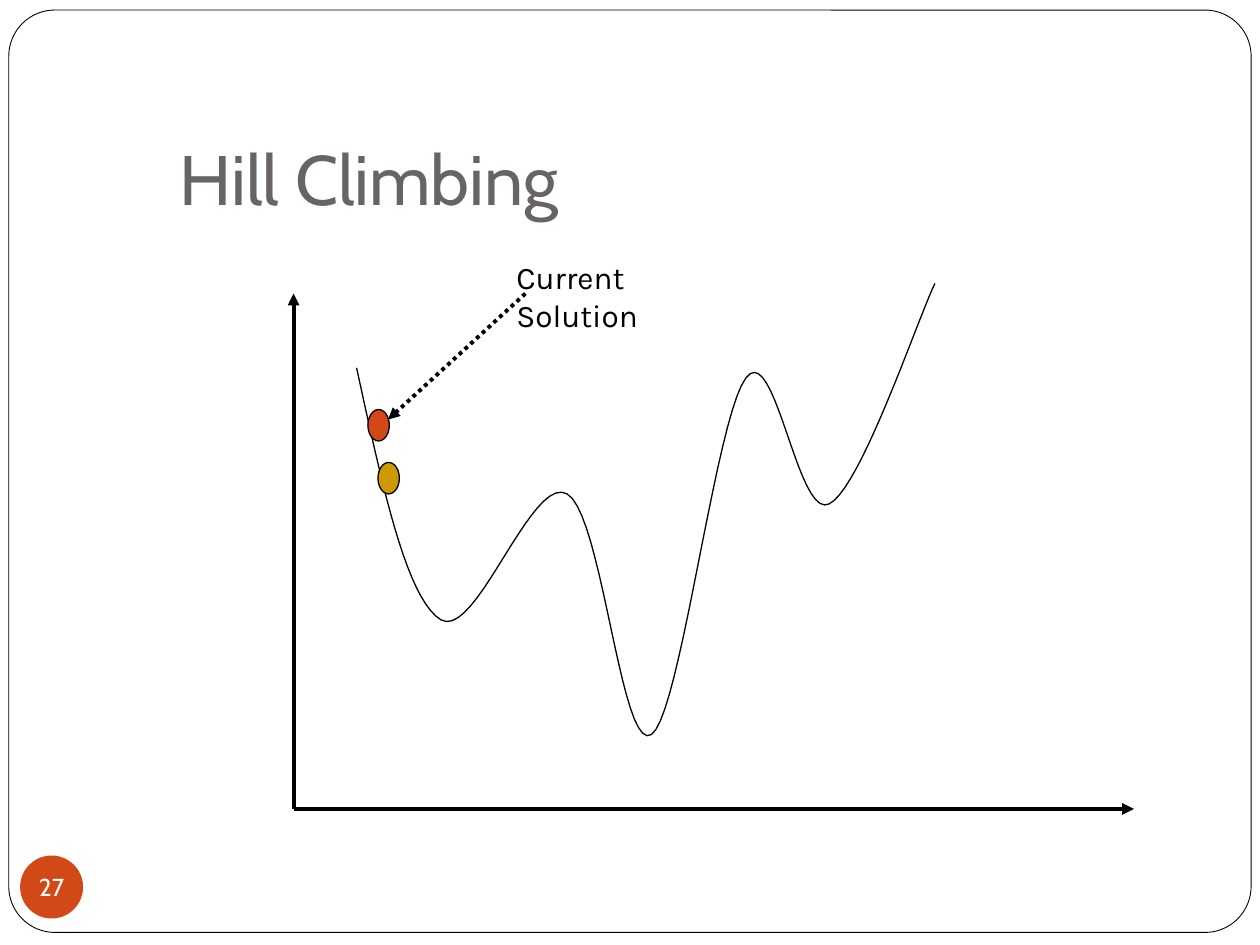
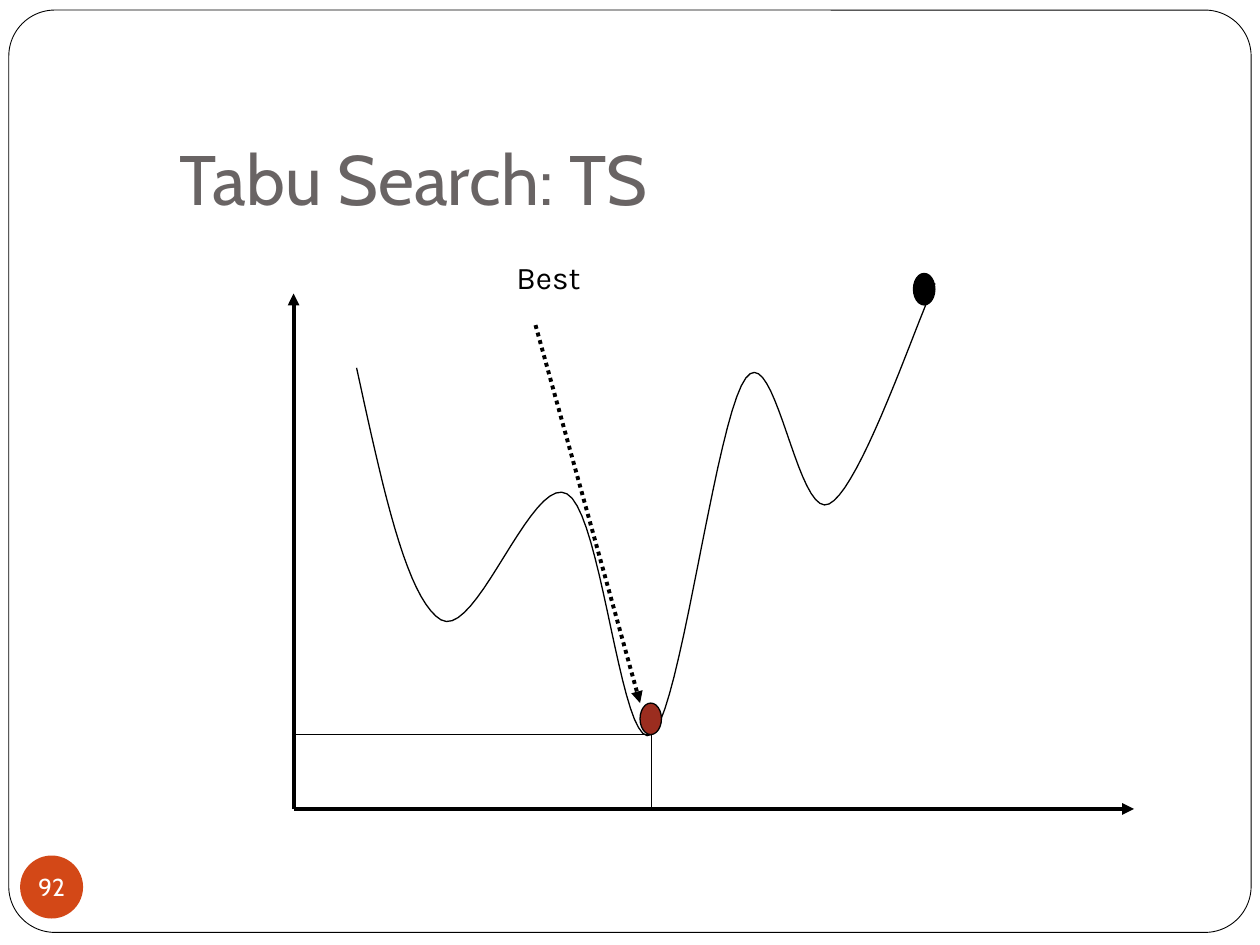
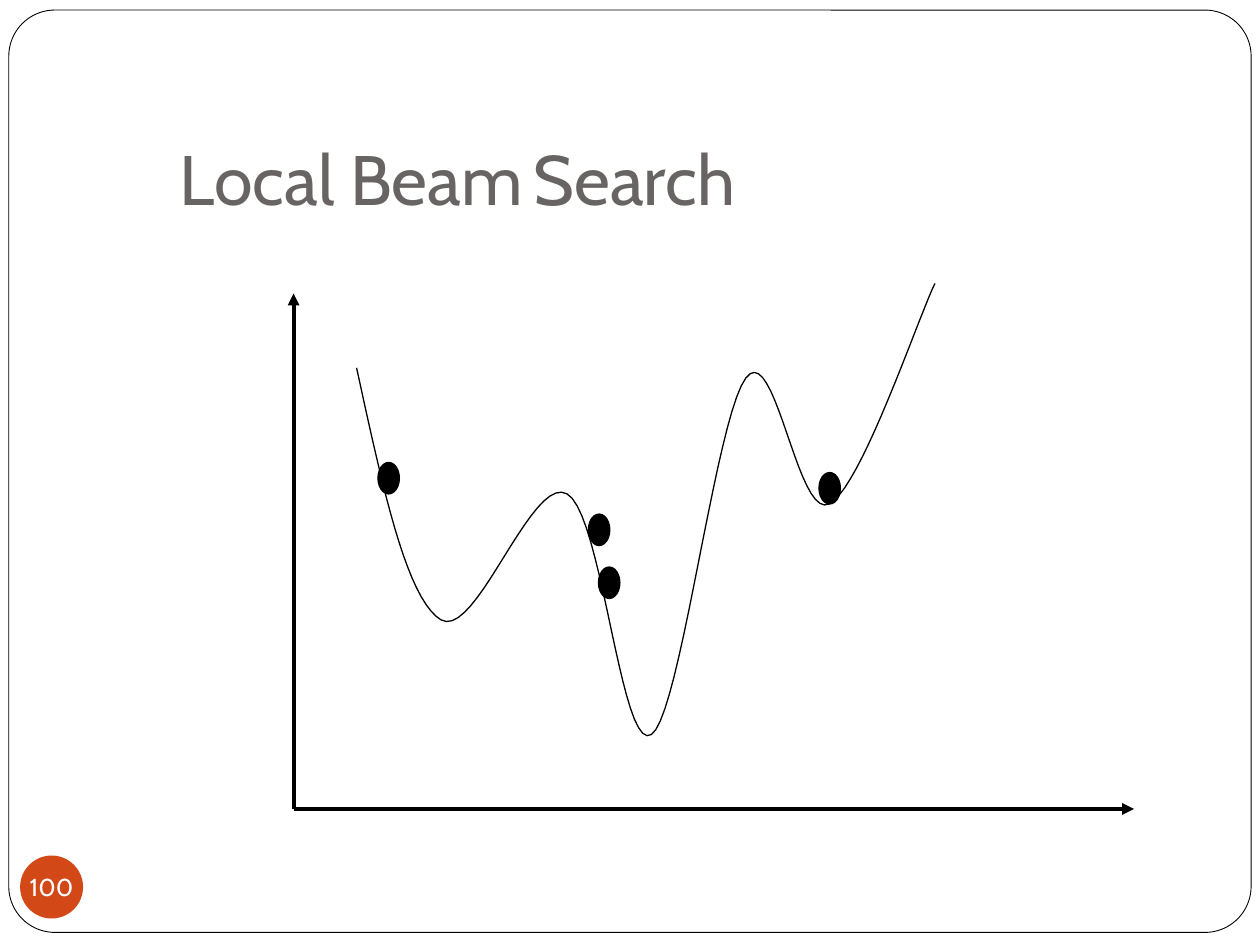
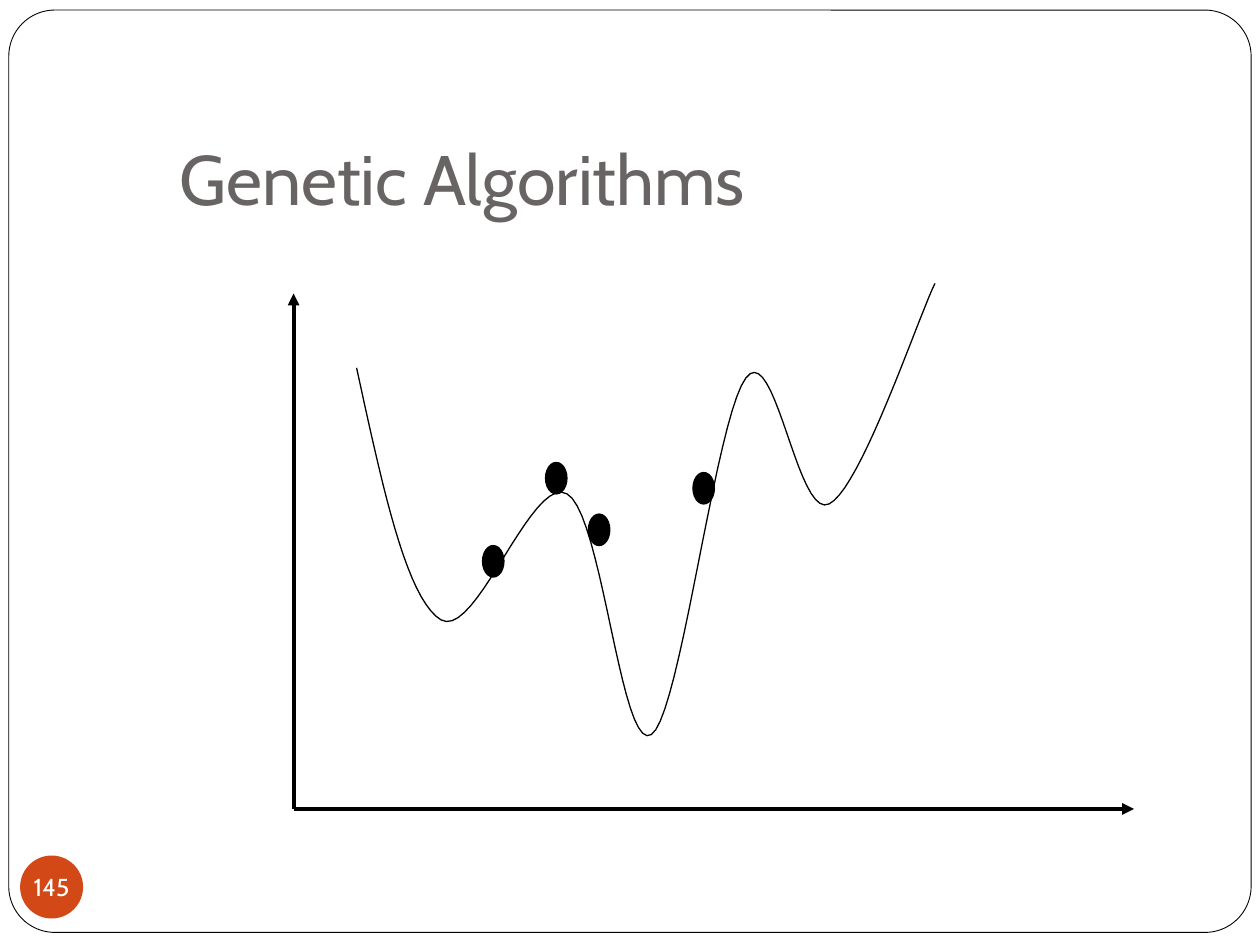
from pptx import Presentation
from pptx.dml.color import RGBColor
from pptx.enum.dml import MSO_LINE
from pptx.enum.shapes import MSO_CONNECTOR, MSO_SHAPE
from pptx.enum.text import MSO_ANCHOR, PP_ALIGN
from pptx.oxml.ns import qn
from pptx.util import Inches, Pt
from lxml.etree import SubElement

INK, PAPER, GREY = "000000", "FFFFFF", "696464"
ORANGE, GOLD, RUST = "D34817", "CC9900", "9B2D1F"
hue = RGBColor.from_string

START = (2.83, 2.92)
BENDS = [  # two controls and an end for each cubic piece
    ((3.03, 3.83), (3.22, 4.75), (3.5, 4.92)),
    ((3.78, 5.08), (4.22, 3.76), (4.5, 3.92)),
    ((4.78, 4.07), (4.93, 5.99), (5.17, 5.83)),
    ((5.4, 5.68), (5.68, 3.31), (5.92, 3)),
    ((6.15, 2.69), (6.33, 4.13), (6.58, 4)),
    ((6.83, 3.88), (7.28, 2.54), (7.42, 2.25)),
]
STEPS = 20
curve = [START]
for bend in BENDS:
    knots = (curve[-1], *bend)
    for step in range(1, STEPS + 1):
        t = step / STEPS
        parts = ((1 - t) ** 3, 3 * t * (1 - t) ** 2, 3 * t * t * (1 - t), t ** 3)
        curve.append(tuple(sum(p * k[axis] for p, k in zip(parts, knots))
                           for axis in (0, 1)))
# the freeform builder rounds to whole units, so hand it lengths, not inches
trail = [(Inches(x), Inches(y)) for x, y in curve]

# title runs, number, dots (left, top, fill), label (words, height),
# dotted arrow (from, to), thin guide lines (from, to)
SLIDES = [
    (["Hill Climbing"], 27, [(2.92, 3.25, ORANGE), (3, 3.67, GOLD)],
     ("Current Solution", 0.7), ((4.17, 2.33), (3.08, 3.33)), []),
    (["Tabu Search: TS"], 92, [(7.25, 2.17, INK), (5.08, 5.58, RUST)],
     ("Best", 0.4), ((4.25, 2.58), (5.08, 5.58)),
     [((5.17, 5.83), (5.17, 6.42)), ((5.17, 5.83), (2.33, 5.83))]),
    (["Local Beam", " ", "Search"], 100,
     [(4.67, 4.08, INK), (3, 3.67, INK), (4.75, 4.5, INK), (6.5, 3.75, INK)],
     None, None, []),
    (["Genetic Algorithms"], 145,
     [(4.33, 3.67, INK), (3.83, 4.33, INK), (4.67, 4.08, INK), (5.5, 3.75, INK)],
     None, None, []),
]


def add_form(shapes, kind, box, fill, width):
    """Add a filled preset shape; a width of 0 means no outline."""
    form = shapes.add_shape(kind, *map(Inches, box))
    form.shadow.inherit = False
    form.fill.solid()
    form.fill.fore_color.rgb = hue(fill)
    if width:
        form.line.color.rgb = hue(INK)
        form.line.width = Pt(width)
    else:
        form.line.fill.background()
    return form


def add_line(shapes, ends, width, arrow=True, dash=None):
    (x1, y1), (x2, y2) = ends
    line = shapes.add_connector(MSO_CONNECTOR.STRAIGHT, *map(Inches, (x1, y1, x2, y2)))
    line.line.color.rgb = hue(INK)
    line.line.width = Pt(width)
    if dash:
        line.line.dash_style = dash
    if arrow:
        SubElement(line.line._get_or_add_ln(), qn("a:tailEnd"), type="triangle")
    SubElement(line._element.spPr, qn("a:effectLst"))


deck = Presentation()
deck.slide_width, deck.slide_height = Inches(10), Inches(7.5)

for title, number, dots, label, arrow, guides in SLIDES:
    shapes = deck.slides.add_slide(deck.slide_layouts[6]).shapes

    frame = add_form(shapes, MSO_SHAPE.ROUNDED_RECTANGLE, (0.07, 0.08, 9.86, 7.32), PAPER, 0.5)
    frame.adjustments[0] = 0.05

    head = shapes.add_textbox(*map(Inches, (1.33, 0.94, 8.52, 0.9))).text_frame
    head.word_wrap = True
    head.vertical_anchor = MSO_ANCHOR.BOTTOM
    head.margin_bottom = Inches(0.1)
    para = head.paragraphs[0]
    para.font.name, para.font.size = "Cabin", Pt(40)
    para.font.color.rgb = hue(GREY)
    for words in title:
        run = para.add_run()
        run.text = words
        if words == " ":
            run.font.size, run.font.italic = Pt(28), True
            run.font.color.rgb = hue(RUST)

    badge = add_form(shapes, MSO_SHAPE.OVAL, (0.16, 6.79, 0.5, 0.5), ORANGE, 0).text_frame
    badge.margin_left = badge.margin_right = badge.margin_top = badge.margin_bottom = 0
    badge.word_wrap = False
    badge.vertical_anchor = MSO_ANCHOR.MIDDLE
    para = badge.paragraphs[0]
    para.text = str(number)
    para.alignment = PP_ALIGN.CENTER
    para.font.name, para.font.size = "Cabin", Pt(14)
    para.font.color.rgb = hue(PAPER)

    for tip in ((2.33, 2.33), (9, 6.42)):
        add_line(shapes, ((2.33, 6.42), tip), 2.25)

    pen = shapes.build_freeform(*trail[0])
    pen.add_line_segments(trail[1:], close=False)
    hill = pen.convert_to_shape()
    hill.shadow.inherit = False
    hill.fill.background()
    hill.line.color.rgb = hue(INK)
    hill.line.width = Pt(0.75)

    for left, top, fill in dots:
        add_form(shapes, MSO_SHAPE.OVAL, (left, top, 0.17, 0.25), fill, 0.75)

    if label:
        words, height = label
        note = shapes.add_textbox(*map(Inches, (4, 2, 1.17, height))).text_frame
        note.word_wrap = True
        para = note.paragraphs[0]
        para.text = words
        para.font.name, para.font.size = "Karla", Pt(18)
        para.font.color.rgb = hue(INK)
        add_line(shapes, arrow, 2.25, dash=MSO_LINE.ROUND_DOT)

    for ends in guides:
        add_line(shapes, ends, 0.75, arrow=False)

deck.save("out.pptx")
